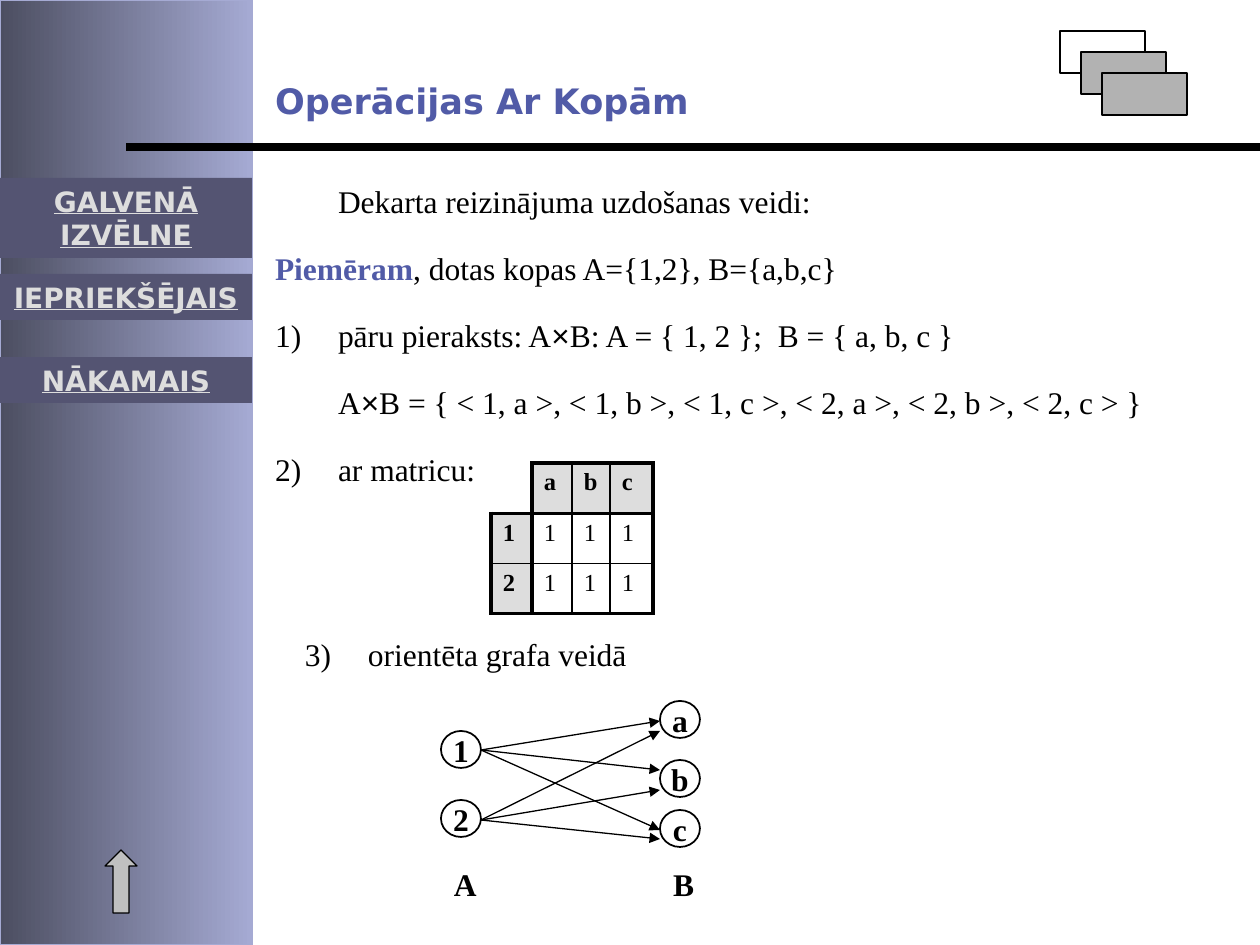
"""Build the slide on ways to write down a Cartesian product."""
from lxml import etree
from pptx import Presentation
from pptx import util as u
from pptx.dml.color import RGBColor
from pptx.enum import shapes, text
from pptx.oxml import ns

SCALE = 914400 / 126
COLOURS = {
    "ink": "000000", "paper": "FFFFFF", "accent": "515BA7", "light": "A5AAD3",
    "dark": "4C4E61", "button": "545472", "pale": "DDDDDD", "grey": "B2B2B2",
    "arrow": "C0C0C0",
}
SERIF, SANS, SYMBOL = "Times New Roman", "DejaVu Sans", "Arial"
KIND, ALIGN, ANCHOR = shapes.MSO_SHAPE, text.PP_ALIGN, text.MSO_ANCHOR
INSET = (13, 6, 13, 6)
BODY = {"size": u.Pt(18), "name": SERIF, "bold": False}
STRONG = {**BODY, "bold": True}


def px(*lengths):
    """Turn lengths in px into EMU."""
    return [round(length * SCALE) for length in lengths]


def colour(name):
    """Look up a named colour."""
    return RGBColor.from_string(COLOURS[name])


def assign(target, values):
    """Set the attributes of an object from a dict."""
    for name, value in values.items():
        setattr(target, name, value)


def add_xml(parent, tag, **attributes):
    """Append a drawing element and return it."""
    return etree.SubElement(parent, ns.qn(tag), attributes)


def write(para, content, font, ink="ink", **layout):
    """Write one span of formatted text into a paragraph."""
    span = para.add_run()
    span.text = content
    assign(span.font, font)
    span.font.color.rgb = colour(ink)
    assign(para, layout)


def set_frame(shape, anchor=ANCHOR.TOP, wrap=True, inset=INSET):
    """Format a text frame and return its first paragraph."""
    sides = ("margin_left", "margin_top", "margin_right", "margin_bottom")
    frame = shape.text_frame
    assign(frame, {"auto_size": text.MSO_AUTO_SIZE.NONE, "word_wrap": wrap,
                   "vertical_anchor": anchor, **dict(zip(sides, px(*inset)))})
    return frame.paragraphs[0]


def move(shape, box):
    """Place a shape in a px box."""
    assign(shape, dict(zip(("left", "top", "width", "height"), px(*box))))


def add_figure(page, kind, box, fill=None, line=None, width=0.75):
    """Add a preset shape without shadow."""
    shape = page.shapes.add_shape(kind, *px(*box))
    shape.shadow.inherit = False
    if fill:
        shape.fill.solid()
        shape.fill.fore_color.rgb = colour(fill)
    if line:
        shape.line.color.rgb = colour(line)
        shape.line.width = u.Pt(width)
    else:
        shape.line.fill.background()
    return shape


def add_line(page, start, end, width=0.75, arrow=False):
    """Add a straight line, with an arrowhead at its end if asked."""
    line = page.shapes.add_connector(shapes.MSO_CONNECTOR.STRAIGHT, *px(*start, *end))
    line.line.color.rgb = colour("ink")
    line.line.width = u.Pt(width)
    if arrow:
        add_xml(line.line._get_or_add_ln(), "a:tailEnd", type="triangle")
    add_xml(line._element.spPr, "a:effectLst")


def set_item(para, number=None, hanging=True):
    """Give a list paragraph its indent, number and spacing."""
    props = para._p.get_or_add_pPr()
    indent = px(63)[0]
    props.set("marL", str(indent))
    props.set("indent", str(-indent if hanging else 0))
    if number:
        add_xml(props, "a:buFont", typeface=SERIF)
        add_xml(props, "a:buAutoNum", type="arabicParenR", startAt=str(number))
    else:
        add_xml(props, "a:buNone")
    assign(para, {"alignment": ALIGN.JUSTIFY, "line_spacing": 1.2, "space_before": u.Pt(0)})


def fill_heading(title, box):
    """Place and write the title."""
    move(title, box)
    write(set_frame(title), "Operācijas Ar Kopām",
          {"size": u.Pt(20), "name": SANS, "bold": True}, "accent", alignment=ALIGN.LEFT)


def fill_body(body, box):
    """Place and write the list of notations."""
    move(body, box)
    first = set_frame(body)
    symbol = {**BODY, "name": SYMBOL}
    items = [
        (None, False, [("Dekarta reizinājuma uzdošanas veidi:", BODY, "ink")]),
        (None, True, [("Piemēram", STRONG, "accent"),
                      (", dotas kopas A={1,2}, B={a,b,c}", BODY, "ink")]),
        (1, True, [("pāru pieraksts: A", BODY, "ink"), ("×", symbol, "ink"),
                   ("B: A = { 1, 2 };  B = { a, b, c }", BODY, "ink")]),
        (None, False, [("A", BODY, "ink"), ("×", symbol, "ink"),
                       ("B = { < 1, a >, < 1, b >, < 1, c >, < 2, a >, < 2, b >, < 2, c > }",
                        BODY, "ink")]),
        (2, True, [("ar matricu:", BODY, "ink")]),
    ]
    for index, (number, hanging, spans) in enumerate(items):
        para = body.text_frame.add_paragraph() if index else first
        set_item(para, number, hanging)
        if index:
            para.space_before = u.Pt(12.4)
        for span in spans:
            write(para, *span)


def add_sidebar(page, box):
    """Add the shaded side panel with its buttons and arrow."""
    left, top, width, height = box
    panel = add_figure(page, KIND.RECTANGLE, box, line="light")
    panel.fill.gradient()
    panel.fill.gradient_angle = 180
    for stop, name in zip(panel.fill.gradient_stops, ("light", "dark")):
        stop.color.rgb = colour(name)
    font = {"size": u.Pt(16), "name": SANS, "bold": True, "underline": True}
    buttons = [("GALVENĀ IZVĒLNE", 178, 80, INSET), ("IEPRIEKŠĒJAIS", 274, 46, (0, 6, 0, 6)),
               ("NĀKAMAIS", 357, 46, INSET)]
    for label, offset, tall, inset in buttons:
        button = add_figure(page, KIND.RECTANGLE, (left, top + offset, width, tall), "button")
        write(set_frame(button, ANCHOR.MIDDLE, inset=inset), label, font, "pale",
              alignment=ALIGN.CENTER)
    add_figure(page, KIND.UP_ARROW, (left + 105, top + 850, 32, 63), "arrow", "ink")


def add_ornament(page, box):
    """Add three overlapping rectangles stepping down to the right."""
    left, top, width, height = box
    for step, fill in enumerate(("paper", "grey", "grey")):
        add_figure(page, KIND.RECTANGLE,
                   (left + 21 * step, top + 21 * step, width, height), fill, "ink")


def add_border(cell, side, width):
    """Draw one cell border, or hide it when the width is zero."""
    line = add_xml(cell._tc.get_or_add_tcPr(), f"a:{side}", w=str(u.Pt(width)))
    if width:
        add_xml(add_xml(line, "a:solidFill"), "a:srgbClr", val=COLOURS["ink"])
    else:
        add_xml(line, "a:noFill")


def add_matrix(page, box):
    """Add the product matrix with shaded headers."""
    rows = (("", "a", "b", "c"), ("1", "1", "1", "1"), ("2", "1", "1", "1"))
    columns, across, down = (41, 40, 38, 43), (2.25, 2.25, 1, 1, 2.25), (2.25, 2.25, 1, 2.25)
    table = page.shapes.add_table(len(rows), len(columns), *px(*box)).table
    assign(table, {"first_row": False, "horz_banding": False})
    for column, width in zip(table.columns, columns):
        column.width = px(width)[0]
    for r, row in enumerate(rows):
        table.rows[r].height = px(box[3] / len(rows))[0]
        for c, label in enumerate(row):
            cell, corner, header = table.cell(r, c), r == c == 0, r == 0 or c == 0
            add_border(cell, "lnL", 0 if corner else across[c])
            add_border(cell, "lnR", across[c + 1])
            add_border(cell, "lnT", 0 if corner else down[r])
            add_border(cell, "lnB", down[r + 1])
            margins = px(12, 6, 0, 6)
            assign(cell, dict(zip(("margin_left", "margin_top", "margin_right",
                                   "margin_bottom"), margins)))
            if header and not corner:
                cell.fill.solid()
                cell.fill.fore_color.rgb = colour("pale")
            else:
                cell.fill.background()
            if label:
                write(cell.text_frame.paragraphs[0], label,
                      {"size": u.Pt(14), "name": SERIF, "bold": header})


def add_graph(page, box):
    """Add the directed graph from set A to set B."""
    left, top, width, height = box
    far = left + width - 40
    nodes = [("1", left, 30), ("2", left, 99), ("a", far, 0), ("b", far, 59), ("c", far, 109)]
    for label, x, y in nodes:
        node = add_figure(page, KIND.OVAL, (x, top + y, 40, 37), "paper", "ink", 1)
        write(set_frame(node, ANCHOR.MIDDLE, False), label, STRONG, alignment=ALIGN.CENTER)
    for start, ends in ((49, (20, 69, 129)), (119, (30, 89, 138))):
        for end in ends:
            add_line(page, (left + 40, top + start), (far, top + end), arrow=True)
    for label, x in (("A", left), ("B", far)):
        caption = page.shapes.add_textbox(*px(x, top + height - 50, 47, 50))
        write(set_frame(caption, wrap=False), label, STRONG)


def main():
    """Build the deck and save it."""
    deck = Presentation()
    deck.slide_width, deck.slide_height = px(1260, 945)
    page = deck.slides.add_slide(deck.slide_layouts[1])
    fill_heading(page.shapes.title, (262, 73, 494, 55))
    fill_body(page.placeholders[1], (262, 168, 998, 319))
    add_sidebar(page, (0, 0, 252, 945))
    add_line(page, (1260, 147), (126, 147), 4.5)
    add_ornament(page, (1060, 31, 85, 42))
    add_matrix(page, (491, 463, 162, 150))
    last = page.shapes.add_textbox(*px(292, 621, 747, 58))
    para = set_frame(last)
    set_item(para, 3)
    write(para, "orientēta grafa veidā", BODY)
    add_graph(page, (441, 701, 259, 208))
    deck.save("out.pptx")


if __name__ == "__main__":
    main()
